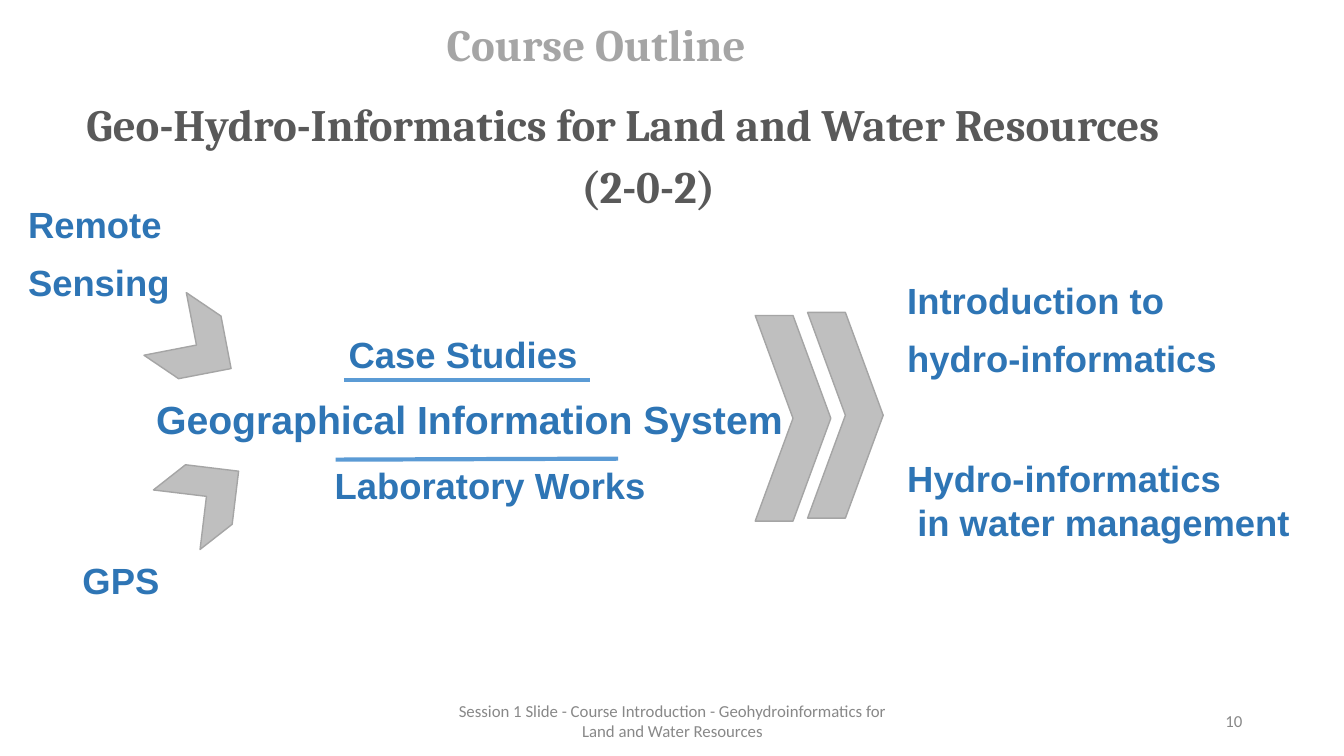
from pptx import Presentation
from pptx.dml.color import RGBColor
from pptx.enum.shapes import MSO_CONNECTOR, MSO_SHAPE
from pptx.enum.text import MSO_ANCHOR, MSO_AUTO_SIZE, PP_ALIGN
from pptx.oxml.ns import qn
from pptx.util import Emu, Pt
from lxml.etree import SubElement

EMU_PER_PX = 9144
COLORS = {
    "title": "A5A5A5",
    "course": "595959",
    "topic": "2E75B5",
    "footer": "888888",
    "chevron": "BFBFBF",
    "outline": "A5A5A5",
    "rule": "5B9BD5",
}


def px(value):
    """Turn px, at 100 to the inch, into EMU."""
    return Emu(value * EMU_PER_PX)


def color(name):
    """Look up a named colour."""
    return RGBColor.from_string(COLORS[name])


class OutlineSlide:
    """Holds the style and the current slide."""

    def __init__(self, presentation):
        """Add a title-only slide."""
        self.slide = presentation.slides.add_slide(presentation.slide_layouts[5])

    def fill_text(self, shape, lines, font, size, tone, bold=True, aligns=(PP_ALIGN.LEFT,),
                  spacing=1.0, gap=0, anchor=MSO_ANCHOR.TOP):
        """Fill a shape with one paragraph per line; the last alignment carries on."""
        frame = shape.text_frame
        frame.word_wrap = True
        frame.auto_size = MSO_AUTO_SIZE.NONE
        frame.vertical_anchor = anchor
        frame.text = "\n".join(lines)
        for index, paragraph in enumerate(frame.paragraphs):
            paragraph.alignment = aligns[min(index, len(aligns) - 1)]
            paragraph.line_spacing = spacing
            paragraph.space_before = Pt(gap if index else 0)
            paragraph.font.name = font
            paragraph.font.size = Pt(size)
            paragraph.font.bold = bold
            paragraph.font.color.rgb = color(tone)

    def text(self, left, top, width, height, lines, font, size, tone, **style):
        """Add a text box."""
        box = self.slide.shapes.add_textbox(px(left), px(top), px(width), px(height))
        self.fill_text(box, lines, font, size, tone, **style)

    def title(self, left, top, width, height, line):
        """Place and format the title."""
        shape = self.slide.shapes.title
        shape.left, shape.top, shape.width, shape.height = map(px, (left, top, width, height))
        self.fill_text(shape, [line], "Cambria", 32, "title", spacing=0.9)

    def topic(self, left, top, width, height, *lines, size=26, spacing=1.07, gap=8):
        """Add a course topic."""
        self.text(left, top, width, height, lines, "Arial", size, "topic",
                  spacing=spacing, gap=gap)

    def footer(self, left, width, line, align):
        """Add a text in the footer row."""
        self.text(left, 695, width, 40, [line], "Calibri", 12, "footer", bold=False,
                  aligns=(align,), anchor=MSO_ANCHOR.MIDDLE)

    def chevron(self, left, top, width, height, rotation=0):
        """Add a grey chevron."""
        shape = self.slide.shapes.add_shape(
            MSO_SHAPE.CHEVRON, px(left), px(top), px(width), px(height))
        shape.rotation = rotation
        shape.shadow.inherit = False
        shape.fill.solid()
        shape.fill.fore_color.rgb = color("chevron")
        shape.line.color.rgb = color("outline")
        shape.line.width = Pt(1)

    def rule(self, left, top, right, bottom):
        """Add a blue line."""
        connector = self.slide.shapes.add_connector(
            MSO_CONNECTOR.STRAIGHT, px(left), px(top), px(right), px(bottom))
        connector.line.color.rgb = color("rule")
        connector.line.width = Pt(3)
        SubElement(connector._element.spPr, qn("a:effectLst"))


def main():
    """Build and save the course outline."""
    presentation = Presentation()
    presentation.slide_width = px(1333)
    presentation.slide_height = px(750)
    outline = OutlineSlide(presentation)

    outline.title(433, 18, 362, 78, "Course Outline")
    outline.text(76, 97, 1134, 121,
                 ["Geo-Hydro-Informatics for Land and Water Resources", "(2-0-2)"],
                 "Cambria", 32, "course", aligns=(PP_ALIGN.LEFT, PP_ALIGN.CENTER),
                 spacing=0.9, gap=10)

    outline.topic(145, 384, 683, 61, "Geographical Information System", size=28)
    outline.topic(18, 193, 164, 112, "Remote", "Sensing")
    outline.topic(72, 546, 97, 54, "GPS")
    outline.topic(890, 268, 340, 112, "Introduction to", "hydro-informatics")
    outline.topic(890, 448, 404, 98, "Hydro-informatics", " in water management",
                  spacing=1.0, gap=0)

    outline.chevron(157, 306, 79, 75, rotation=34.1)
    outline.chevron(167, 454, 78, 75, rotation=321.9)
    outline.chevron(801, 310, 75, 204)
    outline.chevron(749, 313, 75, 204)

    outline.topic(336, 322, 249, 57, "Case Studies")
    outline.topic(322, 452, 342, 57, "Laboratory Works")
    outline.rule(341, 377, 585, 377)
    outline.rule(333, 456, 613, 455)

    outline.footer(442, 450, "Session 1 Slide - Course Introduction - "
                   "Geohydroinformatics for Land and Water Resources", PP_ALIGN.CENTER)
    outline.footer(942, 300, "10", PP_ALIGN.RIGHT)
    presentation.save("out.pptx")


if __name__ == "__main__":
    main()
